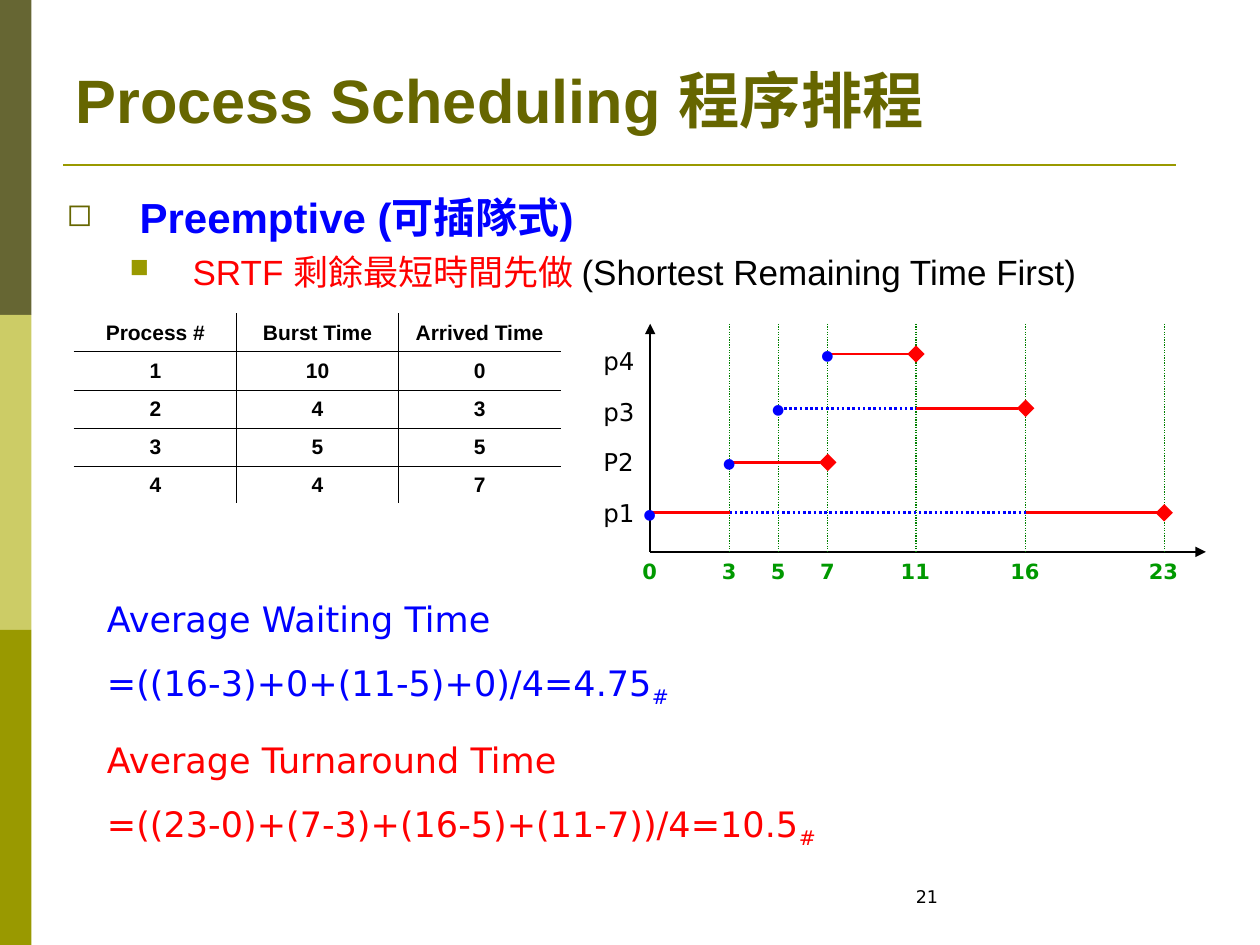
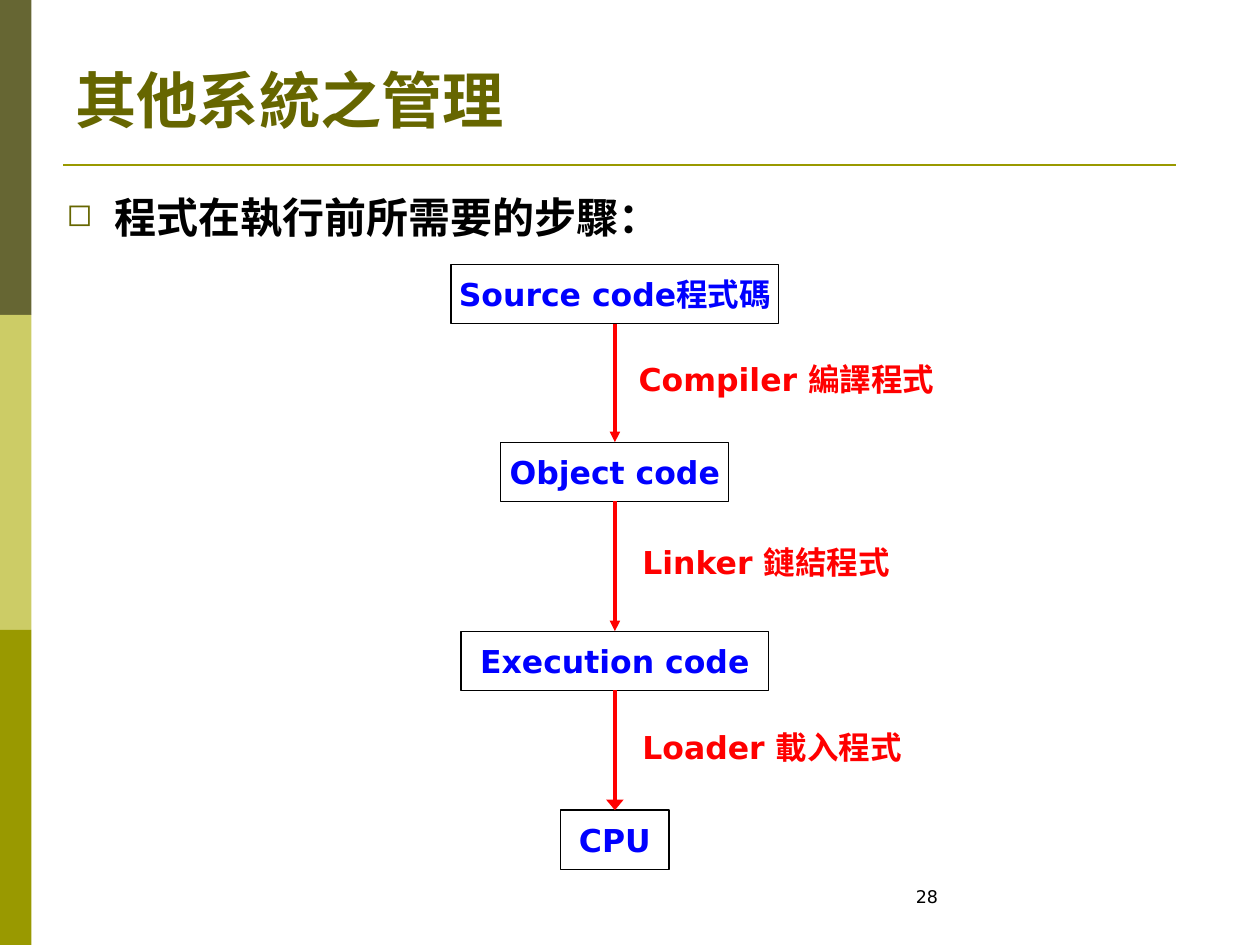
import pptx
import pptx.util
from lxml import etree
from pptx.dml.color import RGBColor
from pptx.enum.dml import MSO_LINE
from pptx.enum.shapes import MSO_CONNECTOR, MSO_SHAPE
from pptx.enum.text import MSO_ANCHOR, PP_ALIGN
from pptx.oxml.ns import qn

Inches = pptx.util.Inches
Pt = pptx.util.Pt

OLIVE_DARK = RGBColor(0x66, 0x66, 0x33)
OLIVE_LIGHT = RGBColor(0xCC, 0xCC, 0x66)
OLIVE = RGBColor(0x99, 0x99, 0x00)
TITLE_OLIVE = RGBColor(0x66, 0x66, 0x00)
BLACK = RGBColor(0, 0, 0)
BLUE = RGBColor(0, 0, 0xFF)
RED = RGBColor(0xFF, 0, 0)
GRID_GREEN = RGBColor(0, 0x80, 0)
TICK_GREEN = RGBColor(0, 0x99, 0)
HEADING_FONT = "Arial"
BODY_FONT = "DejaVu Sans"

TIME_OFFSETS = {0: 0, 3: 0.63, 5: 1.02, 7: 1.41, 11: 2.11, 16: 2.98, 23: 4.08}
PROCESS_OFFSETS = {"p4": 0.24, "p3": 0.67, "P2": 1.1, "p1": 1.5}
ARRIVALS = {"p1": 0, "P2": 3, "p3": 5, "p4": 7}
RUNNING = [("p1", 0, 3), ("p1", 16, 23), ("P2", 3, 7), ("p3", 11, 16), ("p4", 7, 11)]
WAITING = [("p1", 3, 16), ("p3", 5, 11)]


def style_span(span, size, color, font=BODY_FONT, bold=False):
    span.font.size = Pt(size)
    span.font.color.rgb = color
    span.font.name = font
    span.font.bold = bold


def add_text(page, left, top, width, height, lines, size, color, font=BODY_FONT,
             bold=False, before=0, spacing=None, anchor=MSO_ANCHOR.TOP):
    box = page.shapes.add_textbox(Inches(left), Inches(top), Inches(width), Inches(height))
    frame = box.text_frame
    frame.word_wrap = True
    frame.vertical_anchor = anchor
    frame.text = "\n".join(lines)
    for para in frame.paragraphs:
        para.space_before = Pt(before)
        if spacing:
            para.line_spacing = spacing
        for span in para.runs:
            style_span(span, size, color, font, bold)
    return box


def add_line(page, start, end, color, width, dotted=False, head=None, tail=None,
             end_width="med", end_length="med"):
    line = page.shapes.add_connector(MSO_CONNECTOR.STRAIGHT, *map(Inches, start + end))
    line.line.color.rgb = color
    line.line.width = Pt(width)
    if dotted:
        line.line.dash_style = MSO_LINE.ROUND_DOT
    outline = line.line._get_or_add_ln()
    for tag, kind in (("a:headEnd", head), ("a:tailEnd", tail)):
        if kind:
            etree.SubElement(outline, qn(tag), type=kind, w=end_width, len=end_length)
    etree.SubElement(line._element.spPr, qn("a:effectLst"))
    return line


def add_bullet(para, char, color, margin, indent):
    settings = para._p.get_or_add_pPr()
    settings.set("marL", str(Inches(margin)))
    settings.set("indent", str(Inches(indent)))
    bullet_color = etree.SubElement(settings, qn("a:buClr"))
    etree.SubElement(bullet_color, qn("a:srgbClr"), val=str(color))
    etree.SubElement(settings, qn("a:buSzPct"), val="75000")
    etree.SubElement(settings, qn("a:buChar"), char=char)


def add_frame(deck, title, number):
    page = deck.slides.add_slide(deck.slide_layouts[6])
    for index, color in enumerate((OLIVE_DARK, OLIVE_LIGHT, OLIVE)):
        band = page.shapes.add_shape(MSO_SHAPE.RECTANGLE, 0, Inches(2.5 * index),
                                     Inches(0.25), Inches(2.5))
        band.shadow.inherit = False
        band.fill.solid()
        band.fill.fore_color.rgb = color
        band.line.fill.background()
    add_line(page, (0.5, 1.31), (9.33, 1.31), OLIVE, 1.5)
    add_text(page, 0.5, 0.44, 9.15, 0.69, [title], 35, TITLE_OLIVE, HEADING_FONT, True,
             anchor=MSO_ANCHOR.BOTTOM)
    add_text(page, 7.17, 6.98, 2.33, 0.35, [number], 10, BLACK)
    return page


def add_body(page, heading, color, indent):
    box = add_text(page, 0.43, 1.47, 9.14, 5.35, [heading], 24, color, HEADING_FONT, True, 6)
    add_bullet(box.text_frame.paragraphs[0], "◻", TITLE_OLIVE, indent, -indent)
    return box


def add_border(cell, side):
    line = etree.SubElement(cell._tc.get_or_add_tcPr(), qn("a:" + side), w=str(Pt(0.45)))
    fill = etree.SubElement(line, qn("a:solidFill"))
    etree.SubElement(fill, qn("a:srgbClr"), val=str(BLACK))


def add_process_table(page, left, top, width, height):
    rows = [("Process #", "Burst Time", "Arrived Time"),
            (1, 10, 0), (2, 4, 3), (3, 5, 5), (4, 4, 7)]
    last_row, last_column = len(rows) - 1, len(rows[0]) - 1
    table = page.shapes.add_table(len(rows), len(rows[0]), Inches(left), Inches(top),
                                  Inches(width), Inches(height)).table
    table.horz_banding = False
    for row, values in enumerate(rows):
        for column, value in enumerate(values):
            cell = table.cell(row, column)
            cell.text = str(value)
            cell.vertical_anchor = MSO_ANCHOR.MIDDLE
            para = cell.text_frame.paragraphs[0]
            para.alignment = PP_ALIGN.CENTER
            para.space_before = Pt(3)
            style_span(para.runs[0], 12, BLACK, HEADING_FONT, True)
            inner_sides = (("lnL", column > 0), ("lnR", column < last_column),
                           ("lnT", row > 0), ("lnB", row < last_row))
            for side, shown in inner_sides:
                if shown:
                    add_border(cell, side)
            cell.fill.background()


def add_timeline(page, left, top, width, height):
    bottom = top + height
    for end in ((left, top), (left + width, bottom)):
        add_line(page, (left, bottom), end, BLACK, 0.75, tail="triangle")
    add_text(page, left - 0.47, top + 0.08, 0.57, 1.59, PROCESS_OFFSETS, 14, BLACK,
             before=8.8, spacing=1.2)
    for time, offset in TIME_OFFSETS.items():
        x = left + offset
        if time:
            add_line(page, (x, top), (x, bottom), GRID_GREEN, 0.75, dotted=True)
        shift, label_width = (0.16, 0.32) if time < 10 else (0.22, 0.55)
        add_text(page, x - shift, bottom, label_width, 0.3, [str(time)], 12, TICK_GREEN,
                 bold=True, before=7.5)

    def add_span(process, start, end, color, **options):
        y = top + PROCESS_OFFSETS[process]
        add_line(page, (left + TIME_OFFSETS[start], y), (left + TIME_OFFSETS[end], y),
                 color, 1.5, **options)

    for process, start, end in WAITING:
        add_span(process, start, end, BLUE, dotted=True)
    finishes = {process: end for process, start, end in RUNNING}
    for process, start, end in RUNNING:
        tail = "diamond" if end == finishes[process] else None
        add_span(process, start, end, RED, tail=tail, end_width="lg", end_length="lg")
    for process, time in ARRIVALS.items():
        add_text(page, left + TIME_OFFSETS[time] - 0.15, top + PROCESS_OFFSETS[process] - 0.11,
                 0.71, 0.24, ["●"], 8, BLUE, before=5)


def add_average(page, left, top, name, formula, color):
    box = add_text(page, left, top, 6.38, 0.99, [name, formula], 20, color, before=12.5)
    mark = box.text_frame.paragraphs[1].add_run()
    mark.text = "#"
    style_span(mark, 20, color)
    mark._r.get_or_add_rPr().set("baseline", "-25000")


def build_scheduling_page(deck):
    page = add_frame(deck, "Process Scheduling 程序排程", "21")
    body = add_body(page, "Preemptive (可插隊式)", BLUE, 0.58)
    para = body.text_frame.add_paragraph()
    para.level = 1
    para.space_before = Pt(5)
    for text, color in (("SRTF 剩餘最短時間先做 ", RED),
                        ("(Shortest Remaining Time First)", BLACK)):
        span = para.add_run()
        span.text = text
        style_span(span, 20, color, HEADING_FONT)
    add_bullet(para, "■", OLIVE, 1, -0.5)
    add_process_table(page, 0.59, 2.49, 3.86, 1.51)
    add_timeline(page, 5.16, 2.57, 4.41, 1.81)
    add_average(page, 0.75, 4.69, "Average Waiting Time", "=((16-3)+0+(11-5)+0)/4=4.75", BLUE)
    add_average(page, 0.75, 5.81, "Average Turnaround Time",
                "=((23-0)+(7-3)+(16-5)+(11-7))/4=10.5", RED)


def add_code_flow(page, center, top):
    stages = [("Source code程式碼", 0, 2.6), ("Object code", 1.41, 1.81),
              ("Execution code", 2.91, 2.44), ("CPU", 4.33, 0.86)]
    boxes = []
    for text, offset, width in stages:
        box = page.shapes.add_shape(MSO_SHAPE.RECTANGLE, Inches(center - width / 2),
                                    Inches(top + offset), Inches(width), Inches(0.47))
        box.shadow.inherit = False
        box.fill.background()
        box.line.color.rgb = BLACK
        box.line.width = Pt(0.75)
        frame = box.text_frame
        frame.word_wrap = False
        frame.vertical_anchor = MSO_ANCHOR.MIDDLE
        frame.text = text
        frame.paragraphs[0].alignment = PP_ALIGN.CENTER
        style_span(frame.paragraphs[0].runs[0], 18, BLUE, bold=True)
        boxes.append(box)
    for upper, lower in zip(boxes, boxes[1:]):
        arrow = add_line(page, (center, top), (center, top), RED, 2, tail="triangle",
                         end_width="lg" if lower is boxes[-1] else "med")
        arrow.begin_connect(upper, 2)
        arrow.end_connect(lower, 0)
    tools = [("Compiler 編譯程式", 0.09, 0.71, 2.79), ("Linker 鏈結程式", 0.12, 2.16, 2.44),
             ("Loader 載入程式", 0.12, 3.63, 2.44)]
    for text, shift, offset, width in tools:
        add_text(page, center + shift, top + offset, width, 0.4, [text], 18, RED,
                 bold=True, before=11.2)


def build_steps_page(deck):
    page = add_frame(deck, "其他系統之管理", "28")
    add_body(page, "程式在執行前所需要的步驟：", BLACK, 0.38)
    add_code_flow(page, 4.88, 2.1)


def main():
    deck = pptx.Presentation()
    deck.slide_width = Inches(10)
    deck.slide_height = Inches(7.5)
    build_scheduling_page(deck)
    build_steps_page(deck)
    deck.save("out.pptx")


if __name__ == "__main__":
    main()
